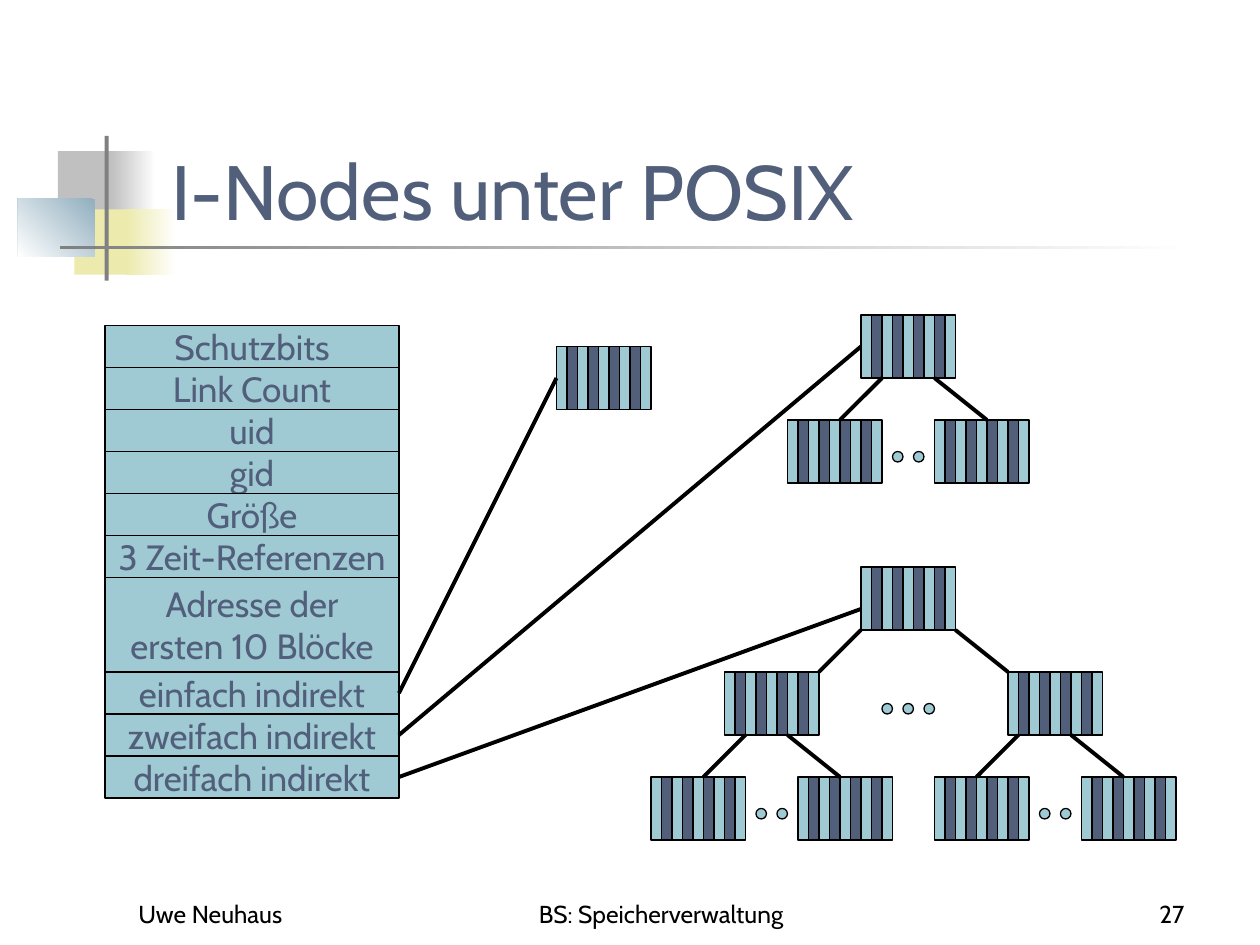
"""Build the slide that shows the structure of POSIX i-nodes."""
from lxml.etree import SubElement
from pptx import Presentation
from pptx.dml.color import RGBColor
from pptx.enum.shapes import MSO_CONNECTOR, MSO_SHAPE
from pptx.enum.text import MSO_ANCHOR, PP_ALIGN
from pptx.oxml.ns import qn
from pptx.util import Cm, Pt

BLACK = RGBColor(0x00, 0x00, 0x00)
WHITE = RGBColor(0xFF, 0xFF, 0xFF)
GRAY = RGBColor(0x80, 0x80, 0x80)
SILVER = RGBColor(0xC0, 0xC0, 0xC0)
YELLOW = RGBColor(0xEC, 0xEA, 0xAC)
STEEL = RGBColor(0x91, 0xAF, 0xBF)
LIGHT_BLUE = RGBColor(0x9F, 0xCA, 0xD3)
DARK_BLUE = RGBColor(0x51, 0x5F, 0x7B)
FONT = "Cabin"
GRID = 2.54 / 12


def add_cell(shapes, kind, left, top, width, height, color):
    shape = shapes.add_shape(kind, *(Cm(GRID * value) for value in (left, top, width, height)))
    shape.shadow.inherit = False
    shape.fill.solid()
    shape.fill.fore_color.rgb = color
    shape.line.color.rgb = BLACK
    shape.line.width = Pt(0.75)
    return shape


def write_text(shape, text, size, color, alignment, anchor, wrap):
    text_frame = shape.text_frame
    text_frame.text = text
    text_frame.word_wrap = wrap
    text_frame.vertical_anchor = anchor
    paragraph = text_frame.paragraphs[0]
    paragraph.alignment = alignment
    for run in paragraph.runs:
        run.font.name = FONT
        run.font.size = Pt(size)
        run.font.color.rgb = color


presentation = Presentation()
presentation.slide_width = Cm(25.4)
presentation.slide_height = Cm(19.05)
slide = presentation.slides.add_slide(presentation.slide_layouts[6])
shapes = slide.shapes

decorations = [
    (1.17, 3.05, 1.22, 1.32, [SILVER], 0),
    (2.24, 3.05, 0.91, 1.32, [WHITE, SILVER], 180),
    (1.5, 4.22, 1.17, 1.32, [YELLOW], 0),
    (2.54, 4.22, 1.02, 1.32, [WHITE, YELLOW], 180),
    (0.36, 4.01, 1.55, 1.17, [STEEL, WHITE], 225),
    (2.11, 2.74, 0.08, 2.92, [GRAY], 0),
    (1.22, 4.95, 22.86, 0.08, [WHITE, GRAY], 180),
]
for left, top, width, height, colors, angle in decorations:
    decoration = shapes.add_shape(MSO_SHAPE.RECTANGLE, Cm(left), Cm(top), Cm(width), Cm(height))
    decoration.shadow.inherit = False
    decoration.line.fill.background()
    if len(colors) == 1:
        decoration.fill.solid()
        decoration.fill.fore_color.rgb = colors[0]
    else:
        decoration.fill.gradient()
        decoration.fill.gradient_angle = angle
        for stop, color in zip(decoration.fill.gradient_stops, colors):
            stop.color.rgb = color

labels = [
    ("I-Nodes unter POSIX", 3.2, 1.7, 21.64, 3.18, 44, DARK_BLUE, PP_ALIGN.LEFT),
    ("Uwe Neuhaus", 2.54, 17.57, 5.29, 1.27, 14, BLACK, PP_ALIGN.LEFT),
    ("BS: Speicherverwaltung", 9.31, 17.57, 8.04, 1.27, 14, BLACK, PP_ALIGN.CENTER),
    ("27", 18.84, 17.57, 5.29, 1.27, 14, BLACK, PP_ALIGN.RIGHT),
]
for text, left, top, width, height, size, color, alignment in labels:
    label = shapes.add_textbox(Cm(left), Cm(top), Cm(width), Cm(height))
    write_text(label, text, size, color, alignment, MSO_ANCHOR.BOTTOM, True)

inode_fields = [
    ("Schutzbits", 4),
    ("Link Count", 4),
    ("uid", 4),
    ("gid", 4),
    ("Größe", 4),
    ("3 Zeit-Referenzen", 4),
    ("Adresse der\versten 10 Blöcke", 9),
    ("einfach indirekt", 4),
    ("zweifach indirekt", 4),
    ("dreifach indirekt", 4),
]
fields = []
top = 31
for text, height in inode_fields:
    field = add_cell(shapes, MSO_SHAPE.RECTANGLE, 10, top, 28, height, LIGHT_BLUE)
    write_text(field, text, 20, DARK_BLUE, PP_ALIGN.CENTER, MSO_ANCHOR.MIDDLE, False)
    fields.append(field)
    top += height
single, double, triple = fields[-3:]

block_positions = [
    (53, 33), (82, 30), (75, 40), (89, 40), (82, 54), (69, 64),
    (96, 64), (62, 74), (76, 74), (89, 74), (103, 74),
]
blocks = []
for left, top in block_positions:
    group = shapes.add_group_shape()
    blocks.append(add_cell(group.shapes, MSO_SHAPE.RECTANGLE, left, top, 9, 6, LIGHT_BLUE))
    for offset in range(1, 9, 2):
        add_cell(group.shapes, MSO_SHAPE.RECTANGLE, left + offset, top, 1, 6, DARK_BLUE)

links = [
    (38, 66, 53, 36, single, blocks[0]),
    (38, 70, 82, 33, double, blocks[1]),
    (38, 74, 82, 58, triple, None),
    (84, 36, 80, 40, None, None),
    (89, 36, 94, 40, None, None),
    (82, 60, 78, 64, None, None),
    (91, 60, 96, 64, None, None),
    (71, 70, 67, 74, None, None),
    (75, 70, 80, 74, None, None),
    (97, 70, 93, 74, None, None),
    (102, 70, 107, 74, None, None),
]
for start_x, start_y, end_x, end_y, source, target in links:
    ends = [Cm(GRID * value) for value in (start_x, start_y, end_x, end_y)]
    connector = shapes.add_connector(MSO_CONNECTOR.STRAIGHT, *ends)
    connector.line.color.rgb = BLACK
    connector.line.width = Pt(2.25)
    SubElement(connector._element.spPr, qn("a:effectLst"))
    if source is not None:
        connector.begin_connect(source, 3)
    if target is not None:
        connector.end_connect(target, 1)

for left, top, count in [(85, 43, 2), (84, 67, 3), (72, 77, 2), (99, 77, 2)]:
    for index in range(count):
        add_cell(shapes, MSO_SHAPE.OVAL, left + 2 * index, top, 1, 1, LIGHT_BLUE)

presentation.save("out.pptx")
